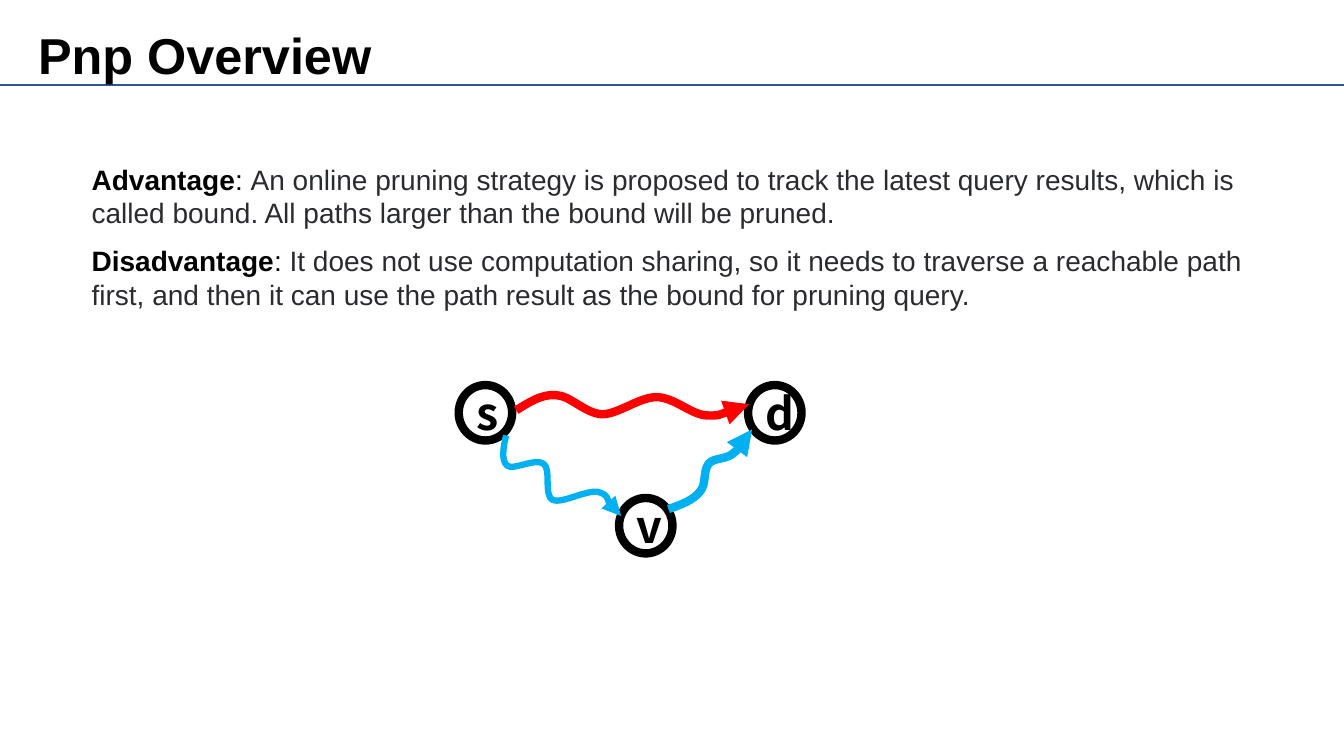
from lxml.etree import SubElement
from pptx import Presentation
from pptx.dml.color import RGBColor
from pptx.enum.shapes import MSO_CONNECTOR, MSO_SHAPE
from pptx.enum.text import MSO_ANCHOR, PP_ALIGN
from pptx.oxml.ns import qn
from pptx.util import Inches, Pt

BLACK = RGBColor(0x00, 0x00, 0x00)
WHITE = RGBColor(0xFF, 0xFF, 0xFF)
BODY_GREY = RGBColor(0x2A, 0x2B, 0x2E)
RULE_BLUE = RGBColor(0x2F, 0x55, 0x97)
PATH_BLUE = RGBColor(0x00, 0xB0, 0xF0)
PATH_RED = RGBColor(0xFF, 0x00, 0x00)

TEXT_FONT = "Arial"
NODE_FONT = "Noto Sans CJK SC"
SLIDE_WIDTH = 13.33
NODE_SIZE = (0.53, 0.55)

POINTS = [
    ("Advantage", "An online pruning strategy is proposed to track the latest query results, "
                  "which is called bound. All paths larger than the bound will be pruned."),
    ("Disadvantage", "It does not use computation sharing, so it needs to traverse a reachable path "
                     "first, and then it can use the path result as the bound for pruning query."),
]

NODES = [("s", 0, 0), ("v", 1.59, 1.12), ("d", 2.87, 0)]

PATHS = [
    (PATH_BLUE, 4.5, [
        (0.47, 0.5),
        (0.44, 0.62), (0.42, 0.75), (0.48, 0.8),
        (0.54, 0.85), (0.76, 0.72), (0.84, 0.78),
        (0.92, 0.83), (0.84, 1.09), (0.93, 1.14),
        (1.02, 1.18), (1.26, 1.04), (1.38, 1.06),
        (1.49, 1.09), (1.53, 1.31), (1.61, 1.3)]),
    (PATH_BLUE, 6, [
        (2.08, 1.23),
        (2.2, 1.19), (2.33, 1.14), (2.39, 1.06),
        (2.46, 0.99), (2.42, 0.85), (2.48, 0.78),
        (2.53, 0.72), (2.65, 0.74), (2.72, 0.68),
        (2.79, 0.62), (2.9, 0.48), (2.91, 0.44)]),
    (PATH_RED, 6, [
        (0.57, 0.25),
        (0.7, 0.17), (0.82, 0.09), (0.96, 0.1),
        (1.1, 0.1), (1.25, 0.28), (1.42, 0.29),
        (1.58, 0.29), (1.79, 0.12), (1.96, 0.12),
        (2.13, 0.12), (2.29, 0.28), (2.44, 0.3),
        (2.59, 0.31), (2.81, 0.22), (2.88, 0.19)]),
]


def add_run(paragraph, text, size, color, bold=False, font=TEXT_FONT):
    run = paragraph.add_run()
    run.text = text
    run.font.name = font
    run.font.size = Pt(size)
    run.font.bold = bold
    run.font.color.rgb = color


def add_text_frame(slide, left, top, width, height):
    box = slide.shapes.add_textbox(Inches(left), Inches(top), Inches(width), Inches(height))
    box.text_frame.word_wrap = True
    return box.text_frame


def add_header(slide, left, top, width, height):
    rule_y = Inches(top + height + 0.01)
    rule = slide.shapes.add_connector(
        MSO_CONNECTOR.STRAIGHT, 0, rule_y, Inches(SLIDE_WIDTH), rule_y)
    rule.line.color.rgb = RULE_BLUE
    rule.line.width = Pt(1.5)
    SubElement(rule.line._get_or_add_ln().getparent(), qn("a:effectLst"))
    frame = add_text_frame(slide, left, top, width, height)
    frame.margin_top = Inches(0.11)
    add_run(frame.paragraphs[0], "Pnp Overview", 36, BLACK, bold=True)


def add_points(slide, left, top, width, height):
    frame = add_text_frame(slide, left, top, width, height)
    for index, (label, statement) in enumerate(POINTS):
        paragraph = frame.add_paragraph() if index else frame.paragraphs[0]
        paragraph.space_before = Pt(10 if index else 0)
        paragraph.line_spacing = Pt(24)
        add_run(paragraph, label, 20, BLACK, bold=True)
        add_run(paragraph, ": ", 20, BLACK)
        add_run(paragraph, statement, 20, BODY_GREY)


def add_node(shapes, letter, left, top):
    width, height = NODE_SIZE
    node = shapes.add_shape(
        MSO_SHAPE.OVAL, Inches(left), Inches(top), Inches(width), Inches(height))
    node.shadow.inherit = False
    node.fill.solid()
    node.fill.fore_color.rgb = WHITE
    node.line.color.rgb = BLACK
    node.line.width = Pt(6)
    node.text_frame.word_wrap = True
    node.text_frame.vertical_anchor = MSO_ANCHOR.MIDDLE
    paragraph = node.text_frame.paragraphs[0]
    paragraph.alignment = PP_ALIGN.CENTER
    add_run(paragraph, letter, 32, BLACK, bold=True, font=NODE_FONT)


def bend_segments(shape):
    outline = next(shape._element.iter(qn("a:path")))
    segments = outline.findall(qn("a:lnTo"))
    for start in range(0, len(segments), 3):
        curve = SubElement(outline, qn("a:cubicBezTo"))
        for segment in segments[start:start + 3]:
            curve.append(segment[0])
            outline.remove(segment)


def add_wavy_arrow(shapes, color, weight, points):
    vertices = [(Inches(x), Inches(y)) for x, y in points]
    builder = shapes.build_freeform(*vertices[0])
    builder.add_line_segments(vertices[1:], close=False)
    arrow = builder.convert_to_shape()
    bend_segments(arrow)
    arrow.shadow.inherit = False
    arrow.fill.background()
    arrow.line.color.rgb = color
    arrow.line.width = Pt(weight)
    SubElement(arrow.line._get_or_add_ln(), qn("a:tailEnd"), type="triangle")


def add_graph(slide, left, top):
    shapes = slide.shapes.add_group_shape().shapes
    for letter, x, y in NODES:
        add_node(shapes, letter, left + x, top + y)
    for color, weight, points in PATHS:
        add_wavy_arrow(shapes, color, weight, [(left + x, top + y) for x, y in points])


def main():
    presentation = Presentation()
    presentation.slide_width = Inches(SLIDE_WIDTH)
    presentation.slide_height = Inches(7.5)
    slide = presentation.slides.add_slide(presentation.slide_layouts[6])
    add_header(slide, 0.28, 0.13, 9.97, 0.7)
    add_points(slide, 0.81, 1.56, 11.82, 5.81)
    add_graph(slide, 4.55, 3.82)
    presentation.save("out.pptx")


if __name__ == "__main__":
    main()
